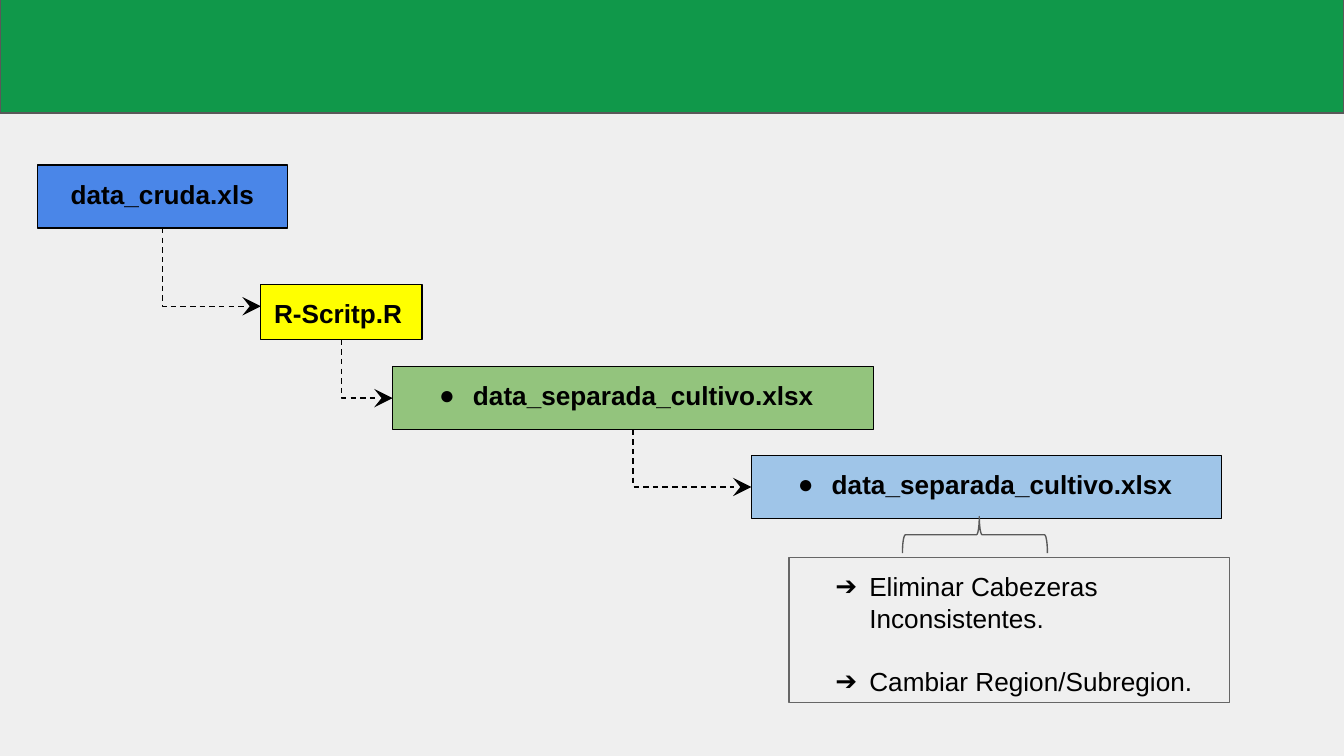
from dataclasses import dataclass

from lxml.etree import SubElement as Sub
from pptx import Presentation
from pptx.dml.color import RGBColor as Rgb
from pptx.enum.dml import MSO_LINE_DASH_STYLE as Dash
from pptx.enum.shapes import MSO_CONNECTOR as Link, MSO_SHAPE as Kind
from pptx.enum.text import MSO_ANCHOR as Anchor, PP_ALIGN as Align
from pptx.oxml.ns import qn
from pptx.util import Cm, Pt


@dataclass(frozen=True)
class Theme:
    page: str = "EFEFEF"
    band: str = "10984A"
    ink: str = "000000"
    edge: str = "595959"
    frame: str = "666666"
    raw: str = "4A86E8"
    code: str = "FFFF00"
    crop: str = "93C47D"
    clean: str = "9FC5E8"
    face: str = "Arial"
    size: float = 14
    rule: float = 0.75


THEME = Theme()


def apply(item, **vals):
    for name, val in vals.items():
        setattr(item, name, val)


def stroke(line, tint):
    line.color.rgb = Rgb.from_string(tint)
    line.width = Pt(THEME.rule)


def shape(slide, kind, area, fill=None, edge=THEME.ink):
    item = slide.shapes.add_shape(kind, *(Cm(n) for n in area))
    item.shadow.inherit = False
    if fill:
        item.fill.solid()
        item.fill.fore_color.rgb = Rgb.from_string(fill)
    else:
        item.fill.background()
    stroke(item.line, edge)
    return item


def bullet(para, mark):
    props = para._p.get_or_add_pPr()
    props.set("marL", str(Cm(1.27)))
    props.set("indent", str(-Cm(0.64)))
    Sub(props, qn("a:buFont"), typeface=THEME.face)
    Sub(props, qn("a:buChar"), char=mark)


def write(item, lines, mark=None, bold=True, align=Align.LEFT, gap=0):
    frame = item.text_frame
    apply(frame, word_wrap=True, vertical_anchor=Anchor.TOP)
    for side in ("left", "right", "top", "bottom"):
        setattr(frame, f"margin_{side}", Cm(0.25))
    for i, text in enumerate(lines):
        para = frame.add_paragraph() if i else frame.paragraphs[0]
        para.alignment = align
        if i:
            para.space_before = Pt(gap)
        if mark:
            bullet(para, mark)
        run = para.add_run()
        run.text = text
        apply(run.font, name=THEME.face, size=Pt(THEME.size), bold=bold)
        run.font.color.rgb = Rgb.from_string(THEME.ink)


def arrow(slide, start, end, lift=0):
    """Go down from the foot of start, then right to the side of end."""
    x, y = start.left + start.width // 2, start.top + start.height
    wide = end.left - x
    high = end.top + end.height // 2 - Cm(lift) - y
    # The bend is a turned, mirrored box around the same centre
    left, top = x + (wide - high) // 2, y + (high - wide) // 2
    line = slide.shapes.add_connector(
        Link.ELBOW, left + high, top, left, top + wide)
    props = line._element.spPr
    props.find(qn("a:xfrm")).set("rot", str(270 * 60000))
    props.find(qn("a:prstGeom")).set("prst", "bentConnector2")
    stroke(line.line, THEME.ink)
    line.line.dash_style = Dash.DASH
    Sub(line.line._get_or_add_ln(), qn("a:tailEnd"),
        type="stealth", w="lg", len="lg")
    Sub(props, qn("a:effectLst"))


def main():
    deck = Presentation()
    apply(deck, slide_width=Cm(25.4), slide_height=Cm(14.29))
    slide = deck.slides.add_slide(deck.slide_layouts[6])
    back = slide.background.fill
    back.solid()
    back.fore_color.rgb = Rgb.from_string(THEME.page)

    # Header band
    shape(slide, Kind.RECTANGLE, (0, -0.15, 25.4, 2.29),
          THEME.band, THEME.edge)

    # Chain of files
    steps = (
        ("data_cruda.xls", (0.71, 3.12, 4.72, 1.19), THEME.raw,
         {"align": Align.CENTER}),
        ("R-Scritp.R", (4.93, 5.38, 3.05, 1.04), THEME.code, {}),
        ("data_separada_cultivo.xlsx", (7.42, 6.93, 9.09, 1.19),
         THEME.crop, {"mark": "●"}),
        ("data_separada_cultivo.xlsx", (14.2, 8.61, 8.89, 1.19),
         THEME.clean, {"mark": "●"}),
    )
    boxes = []
    for text, area, fill, form in steps:
        box = shape(slide, Kind.RECTANGLE, area, fill)
        write(box, [text], **form)
        boxes.append(box)

    # Dashed arrows between the files
    for start, end, lift in zip(boxes, boxes[1:], (0.11, 0, 0)):
        arrow(slide, start, end, lift)

    # Cleaning tasks under a brace
    tasks = shape(slide, Kind.RECTANGLE, (14.91, 10.54, 8.33, 2.74),
                  edge=THEME.frame)
    write(tasks, ["Eliminar Cabezeras Inconsistentes.",
                  "Cambiar Region/Subregion."], "➔", bold=False, gap=17)
    brace = shape(slide, Kind.LEFT_BRACE, (18.08, 8.74, 0.69, 2.74),
                  edge=THEME.edge)
    brace.rotation = 90
    brace.adjustments[0] = 0.08
    brace.adjustments[1] = 0.47

    deck.save("out.pptx")


if __name__ == "__main__":
    main()
